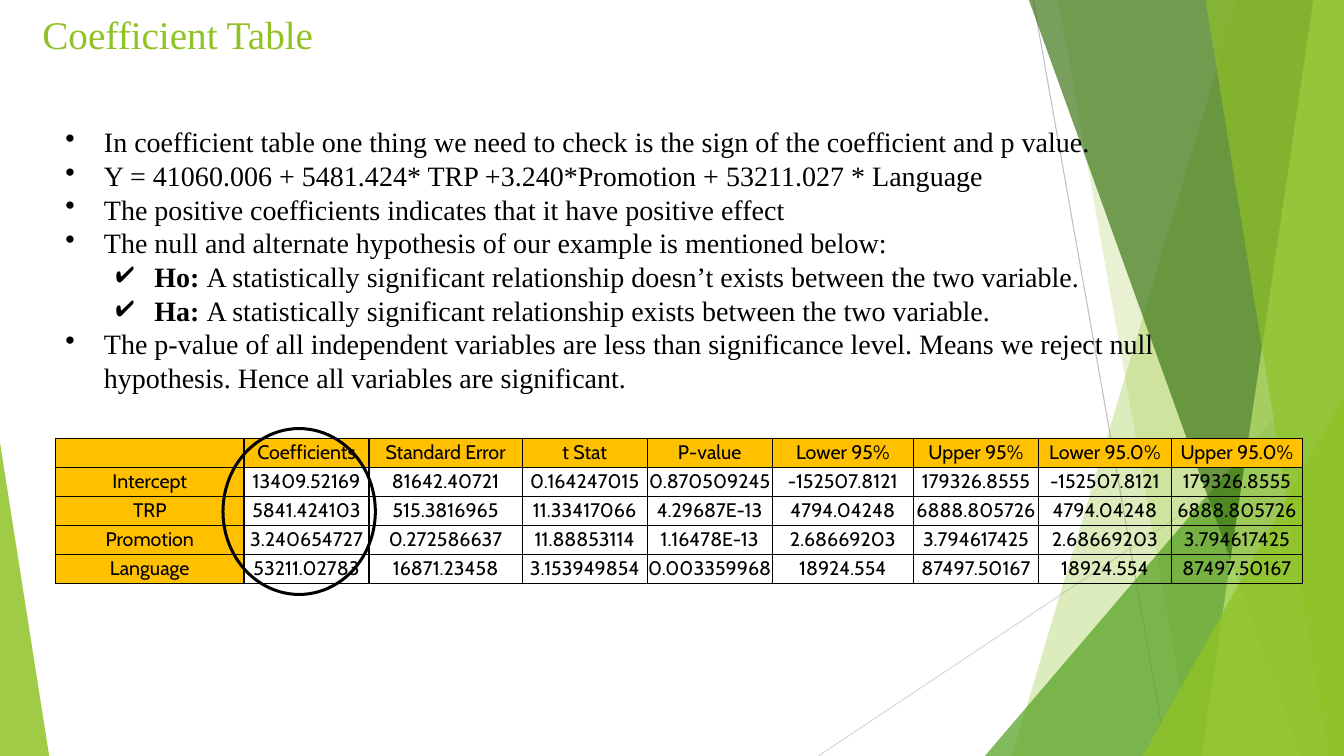
"""Build the Coefficient Table slide with its faceted green backdrop."""
import pptx
import pptx.dml.color
import pptx.enum.shapes
import pptx.enum.text
import pptx.oxml
import pptx.oxml.ns
import pptx.util
from lxml import etree

Cm = pptx.util.Cm
Pt = pptx.util.Pt
qn = pptx.oxml.ns.qn
SHAPES = pptx.enum.shapes.MSO_SHAPE
WIDTH, HEIGHT = 33.87, 19.05
COLORS = {
    "lime": "90C226", "green": "54A021", "forest": "3F7818", "pale": "BFE471",
    "gray": "BFBFBF", "silver": "D8D8D8", "black": "000000", "amber": "FFC000",
}


class SlideBuilder:
    """Hold the style and the current slide."""

    def __init__(self, slide):
        self.slide = slide
        self.formats = {
            "title": {"size": Pt(28), "name": "Times New Roman", "bold": False},
            "body": {"size": Pt(20), "name": "Times New Roman", "bold": False},
            "cell": {"size": Pt(14), "name": "Cabin", "bold": False},
        }

    def rgb(self, color):
        return pptx.dml.color.RGBColor.from_string(COLORS[color])

    def tint(self, facet, color, opacity):
        facet.shadow.inherit = False
        facet.fill.solid()
        facet.fill.fore_color.rgb = self.rgb(color)
        shade = facet._element.spPr.find(qn("a:solidFill")).find(qn("a:srgbClr"))
        etree.SubElement(shade, qn("a:alpha"), val=str(opacity * 1000))
        facet.line.fill.background()

    def line(self, x1, y1, x2, y2, color):
        ray = self.slide.shapes.add_connector(
            pptx.enum.shapes.MSO_CONNECTOR.STRAIGHT, Cm(x1), Cm(y1), Cm(x2), Cm(y2))
        ray.line.color.rgb = self.rgb(color)
        ray.line.width = Pt(0.75)
        etree.SubElement(ray._element.spPr, qn("a:effectLst"))

    def wedge(self, top_x, bottom_x, color, opacity):
        outline = self.slide.shapes.build_freeform(Cm(top_x), 0)
        corners = [(WIDTH, 0), (WIDTH, HEIGHT), (bottom_x, HEIGHT)]
        outline.add_line_segments([(Cm(x), Cm(y)) for x, y in corners])
        self.tint(outline.convert_to_shape(), color, opacity)

    def triangle(self, left, top, width, apex, color, opacity):
        facet = self.slide.shapes.add_shape(
            SHAPES.ISOSCELES_TRIANGLE, Cm(left), Cm(top), Cm(width), Cm(HEIGHT - top))
        facet.adjustments[0] = apex
        self.tint(facet, color, opacity)

    def ring(self, left, top, width, height):
        highlight = self.slide.shapes.add_shape(
            SHAPES.OVAL, Cm(left), Cm(top), Cm(width), Cm(height))
        highlight.shadow.inherit = False
        highlight.fill.background()
        highlight.line.color.rgb = self.rgb("black")
        highlight.line.width = Pt(2.16)

    def add_text(self, paragraph, text, style, color="black", **changes):
        run = paragraph.add_run()
        run.text = text
        for attribute, value in {**self.formats[style], **changes}.items():
            setattr(run.font, attribute, value)
        run.font.color.rgb = self.rgb(color)

    def text_frame(self, left, top, width, height):
        frame = self.slide.shapes.add_textbox(
            Cm(left), Cm(top), Cm(width), Cm(height)).text_frame
        margins = {"margin_left": 0, "margin_right": 0, "margin_bottom": 0,
                   "margin_top": Cm(0.03), "word_wrap": True}
        for attribute, value in margins.items():
            setattr(frame, attribute, value)
        return frame

    def title(self, text):
        frame = self.text_frame(1.07, 0.23, 9.3, 1.27)
        self.add_text(frame.paragraphs[0], text, "title", "lime")

    def bullets(self, points):
        frame = self.text_frame(1.63, 3.12, 27.61, 6.83)
        for index, (level, lead, text) in enumerate(points):
            point = frame.add_paragraph() if index else frame.paragraphs[0]
            point.level = level
            point.line_spacing = Pt(24)
            properties = point._p.get_or_add_pPr()
            properties.set("marL", str(Cm(2.26 if level else 0.99)))
            properties.set("indent", str(Cm(-0.97)))
            mark_color = etree.SubElement(properties, qn("a:buClr"))
            etree.SubElement(mark_color, qn("a:srgbClr"), val=COLORS["black"])
            etree.SubElement(properties, qn("a:buChar"), char="✔" if level else "•")
            if lead:
                self.add_text(point, lead, "body", bold=True)
            self.add_text(point, text, "body")

    def border(self, cell):
        properties = cell._tc.get_or_add_tcPr()
        for side in ("lnL", "lnR", "lnT", "lnB"):
            edge = etree.SubElement(properties, qn(f"a:{side}"), w=str(Pt(1)))
            fill = etree.SubElement(edge, qn("a:solidFill"))
            etree.SubElement(fill, qn("a:srgbClr"), val=COLORS["black"])

    def table(self, rows, widths, left, top, row_height):
        grid = self.slide.shapes.add_table(
            len(rows), len(widths), Cm(left), Cm(top),
            Cm(sum(widths)), Cm(row_height * len(rows))).table
        grid.first_row = grid.horz_banding = False
        for column, width in zip(grid.columns, widths):
            column.width = Cm(width)
        layout = {"margin_left": 0, "margin_right": 0, "margin_bottom": 0,
                  "margin_top": Cm(0.05)}
        for r, values in enumerate(rows):
            grid.rows[r].height = Cm(row_height)
            for c, value in enumerate(values):
                cell = grid.cell(r, c)
                for attribute, setting in layout.items():
                    setattr(cell, attribute, setting)
                self.border(cell)
                if r == 0 or c == 0:
                    cell.fill.solid()
                    cell.fill.fore_color.rgb = self.rgb("amber")
                else:
                    cell.fill.background()
                entry = cell.text_frame.paragraphs[0]
                entry.alignment = pptx.enum.text.PP_ALIGN.CENTER
                if value:
                    self.add_text(entry, value, "cell")
                else:
                    etree.SubElement(entry._p, qn("a:endParaRPr"), sz="1400")


POINTS = [
    (0, "", "In coefficient table one thing we need to check is the sign of the coefficient and p value."),
    (0, "", "Y = 41060.006 + 5481.424* TRP +3.240*Promotion + 53211.027 * Language"),
    (0, "", "The positive coefficients indicates that it have positive effect"),
    (0, "", "The null and alternate hypothesis of our example is mentioned below:"),
    (1, "Ho: ", "A statistically significant relationship doesn’t exists between the two variable."),
    (1, "Ha: ", "A statistically significant relationship exists between the two variable."),
    (0, "", "The p-value of all independent variables are less than significance level. "
            "Means we reject null hypothesis. Hence all variables are significant."),
]
COEFFICIENTS = [
    ["", "Coefficients", "Standard Error", "t Stat", "P-value",
     "Lower 95%", "Upper 95%", "Lower 95.0%", "Upper 95.0%"],
    ["Intercept", "13409.52169", "81642.40721", "0.164247015", "0.870509245",
     "-152507.8121", "179326.8555", "-152507.8121", "179326.8555"],
    ["TRP", "5841.424103", "515.3816965", "11.33417066", "4.29687E-13",
     "4794.04248", "6888.805726", "4794.04248", "6888.805726"],
    ["Promotion", "3.240654727", "0.272586637", "11.88853114", "1.16478E-13",
     "2.68669203", "3.794617425", "2.68669203", "3.794617425"],
    ["Language", "53211.02783", "16871.23458", "3.153949854", "0.003359968",
     "18924.554", "87497.50167", "18924.554", "87497.50167"],
]
COLUMN_WIDTHS = [4.75, 3.15, 3.86, 3.15, 3.15, 3.56, 3.15, 3.35, 3.3]


def main():
    deck = pptx.Presentation()
    deck.slide_width, deck.slide_height = Cm(WIDTH), Cm(HEIGHT)
    builder = SlideBuilder(deck.slides.add_slide(deck.slide_layouts[6]))
    builder.line(26.04, 0, 29.41, HEIGHT, "gray")
    builder.line(WIDTH, 10.24, 20.62, HEIGHT, "silver")
    builder.wedge(31.19, 25.5, "lime", 30)
    builder.wedge(26.67, 30.05, "lime", 20)
    builder.triangle(24.82, 8.46, 9.05, 1, "green", 72)
    builder.wedge(25.93, 32.79, "forest", 70)
    builder.wedge(33.1, 30.28, "pale", 70)
    builder.wedge(30.38, 33.48, "lime", 65)
    builder.triangle(28.8, 9.98, 5.07, 1, "lime", 80)
    builder.triangle(0, 11.15, 1.24, 0, "lime", 85)
    builder.title("Coefficient Table")
    builder.bullets(POINTS)
    builder.table(COEFFICIENTS, COLUMN_WIDTHS, 1.4, 11.05, 0.73)
    builder.ring(5.62, 10.8, 3.84, 4.18)
    deck.save("out.pptx")


if __name__ == "__main__":
    main()
